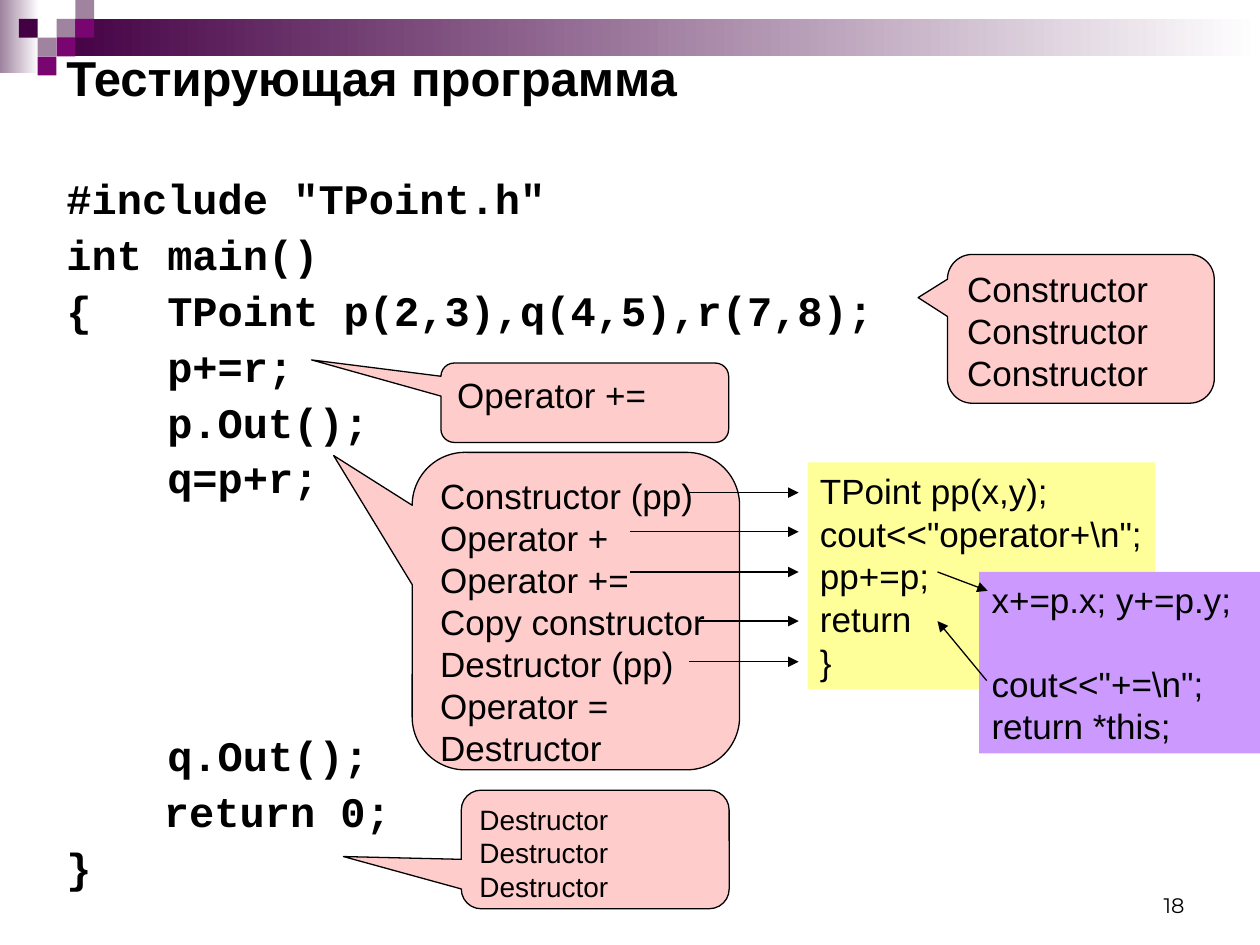
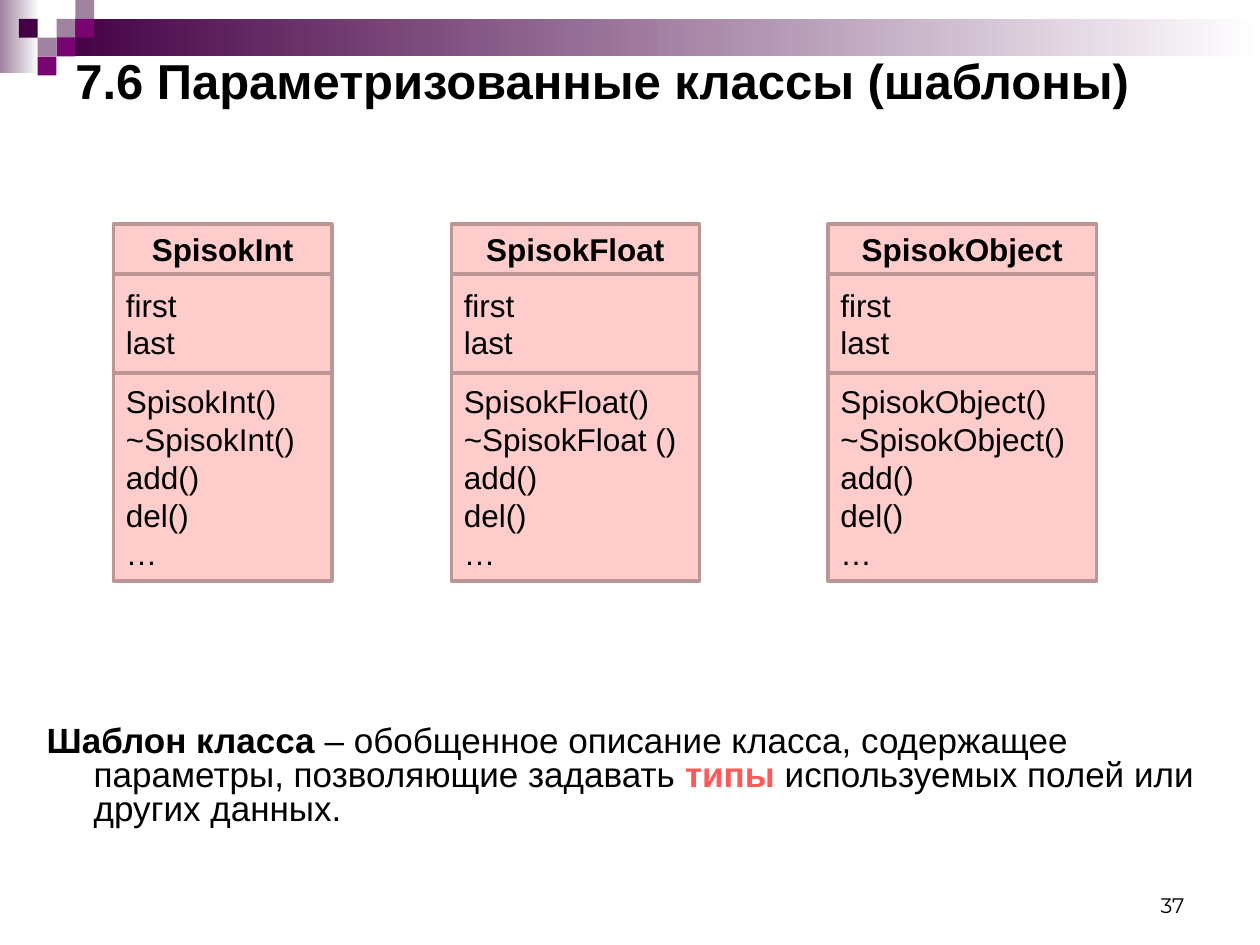
from dataclasses import dataclass

import lxml.etree
import pptx
import pptx.dml.color
import pptx.enum.dml
import pptx.enum.shapes
import pptx.enum.text
import pptx.oxml.ns
import pptx.shapes.autoshape
import pptx.slide
import pptx.text.text
import pptx.util

Cm = pptx.util.Cm
Pt = pptx.util.Pt
RGBColor = pptx.dml.color.RGBColor
Kind = pptx.enum.shapes.MSO_SHAPE
Align = pptx.enum.text.PP_ALIGN
Anchor = pptx.enum.text.MSO_ANCHOR
Slide = pptx.slide.Slide
Frame = pptx.text.text.TextFrame
Shape = pptx.shapes.autoshape.Shape

BLACK = RGBColor(0, 0, 0)
WHITE = RGBColor(255, 255, 255)
DARK = RGBColor(0x44, 0x00, 0x44)
PLUM = RGBColor(0x79, 0x05, 0x71)
MAUVE = RGBColor(0x9F, 0x83, 0x9F)
PINK = RGBColor(0xFF, 0xCC, 0xCC)
ROSE = RGBColor(0xBC, 0x95, 0x95)
YELLOW = RGBColor(0xFF, 0xFF, 0x99)
LILAC = RGBColor(0xCC, 0x99, 0xFF)
RED = RGBColor(0xFF, 0x59, 0x59)

CELL = 0.38
HANG = 0.95


@dataclass(frozen=True)
class Box:
    left: float
    top: float
    width: float
    height: float


@dataclass(frozen=True)
class Face:
    size: float
    name: str = "Arial"
    bold: bool = False
    color: RGBColor = BLACK


@dataclass(frozen=True)
class Tile:
    col: int
    row: int
    color: RGBColor


@dataclass(frozen=True)
class Callout:
    box: Box
    tip: tuple[float, float]
    text: str
    size: float = 20


@dataclass(frozen=True)
class Arrow:
    start: tuple[float, float]
    end: tuple[float, float]


@dataclass(frozen=True)
class Card:
    name: str
    left: float
    width: float
    gap: str = ""


TILES = [
    Tile(3, 1, MAUVE), Tile(4, 0, MAUVE), Tile(4, 1, PLUM), Tile(2, 2, MAUVE),
    Tile(1, 1, DARK), Tile(3, 2, PLUM), Tile(2, 3, PLUM),
]

CODE = """#include "TPoint.h"
int main()
{   TPoint p(2,3),q(4,5),r(7,8);
    p+=r;
    p.Out();
    q=p+r;
    q.Out();
\t  return 0;
}"""

CALLOUTS = [
    Callout(Box(19.1, 5.13, 5.38, 3), (-0.61, -0.21), "Constructor\nConstructor Constructor"),
    Callout(
        Box(8.31, 9.12, 6.6, 6.4), (-0.74, -0.49),
        "Constructor (pp)\nОperator +\nOperator +=\nCopy constructor\n"
        "Destructor (pp)\nOperator =\nDestructor",
    ),
    Callout(Box(8.89, 7.32, 5.8, 1.6), (-0.95, -0.54), "Operator +="),
    Callout(Box(9.3, 15.93, 5.4, 2.39), (-0.94, 0.06), "\n".join(["Destructor"] * 3), 16),
]

REACH = 16.1
STEPS = [(13.89, 9.93), (12.7, 10.72), (12.7, 11.53), (14.1, 12.52), (13.89, 13.34)]
ARROWS = [Arrow((x, y), (REACH, y)) for x, y in STEPS]
INNER = [Arrow((19.89, 13.72), (18.9, 12.52)), Arrow((18.9, 11.53), (19.91, 11.91))]

CARDS = [
    Card("SpisokInt", 2.29, 4.4),
    Card("SpisokFloat", 9.1, 5, " "),
    Card("SpisokObject", 16.69, 5.42),
]


def style(frame: Frame, face: Face, align: Align = Align.LEFT) -> None:
    for par in frame.paragraphs:
        par.alignment = align
        for run in par.runs:
            paint(run, face)


def paint(run: pptx.text.text._Run, face: Face) -> None:
    run.font.size = Pt(face.size)
    run.font.name = face.name
    run.font.bold = face.bold
    run.font.color.rgb = face.color


def hang(par: pptx.text.text._Paragraph, space: float) -> None:
    props = par._p.get_or_add_pPr()
    props.set("marL", str(Cm(HANG)))
    props.set("indent", str(-Cm(HANG)))
    par.line_spacing = space


def add_text(slide: Slide, box: Box, text: str, face: Face,
             align: Align = Align.LEFT, anchor: Anchor = Anchor.TOP) -> Frame:
    shape = slide.shapes.add_textbox(Cm(box.left), Cm(box.top), Cm(box.width), Cm(box.height))
    frame = shape.text_frame
    frame.word_wrap = True
    frame.vertical_anchor = anchor
    frame.text = text
    style(frame, face, align)
    return frame


def add_block(slide: Slide, box: Box, fill: RGBColor, kind: Kind = Kind.RECTANGLE,
              edge: RGBColor | None = None, weight: float = 0.75) -> Shape:
    shape = slide.shapes.add_shape(
        kind, Cm(box.left), Cm(box.top), Cm(box.width), Cm(box.height))
    shape.shadow.inherit = False
    shape.fill.solid()
    shape.fill.fore_color.rgb = fill
    if edge is None:
        shape.line.fill.background()
    else:
        shape.line.color.rgb = edge
        shape.line.width = Pt(weight)
    return shape


def write(shape: Shape, text: str, face: Face, align: Align = Align.LEFT,
          anchor: Anchor = Anchor.TOP) -> Frame:
    frame = shape.text_frame
    frame.word_wrap = True
    frame.vertical_anchor = anchor
    frame.text = text
    style(frame, face, align)
    return frame


def add_fade(slide: Slide, box: Box, color: RGBColor) -> None:
    fill = add_block(slide, box, color).fill
    fill.gradient()
    fill.gradient_angle = 0
    for stop, shade, place in zip(fill.gradient_stops, (color, WHITE), (0, 1)):
        stop.color.rgb = shade
        stop.position = place


def add_callout(slide: Slide, note: Callout) -> None:
    shape = add_block(slide, note.box, PINK, Kind.ROUNDED_RECTANGULAR_CALLOUT, BLACK)
    shape.adjustments[0], shape.adjustments[1] = note.tip
    write(shape, note.text, Face(note.size))


def add_arrow(slide: Slide, arrow: Arrow) -> None:
    ends = [Cm(value) for value in arrow.start + arrow.end]
    link = slide.shapes.add_connector(pptx.enum.shapes.MSO_CONNECTOR.STRAIGHT, *ends)
    link.line.color.rgb = BLACK
    link.line.width = Pt(0.75)
    qn = pptx.oxml.ns.qn
    lxml.etree.SubElement(link.line._get_or_add_ln(), qn("a:tailEnd"), type="triangle")
    lxml.etree.SubElement(link._element.spPr, qn("a:effectLst"))


def add_card(slide: Slide, card: Card) -> None:
    name = card.name
    rows = [
        (1, name, True),
        (2, "first\nlast", False),
        (4.19, f"{name}()\n~{name}{card.gap}()\nadd()\ndel()\n…", False),
    ]
    top = 4.52
    for height, text, head in rows:
        box = Box(card.left, top, card.width, height)
        shape = add_block(slide, box, PINK, edge=ROSE, weight=2)
        align = Align.CENTER if head else Align.LEFT
        write(shape, text, Face(18, bold=head), align, Anchor.MIDDLE)
        top += height


def add_page(deck: pptx.presentation.Presentation, title: str, box: Box, number: int) -> Slide:
    slide = deck.slides.add_slide(deck.slide_layouts[6])
    add_fade(slide, Box(0, 0, 0.79, 1.47), MAUVE)
    add_fade(slide, Box(3 * CELL, CELL, 25.4 - 3 * CELL, 2 * CELL), DARK)
    for tile in TILES:
        add_block(slide, Box(tile.col * CELL, tile.row * CELL, CELL, CELL), tile.color)
    add_text(slide, Box(18.21, 17.35, 5.92, 1.27), str(number),
             Face(12, "Montserrat"), Align.RIGHT, Anchor.BOTTOM)
    add_text(slide, box, title, Face(28, bold=True), anchor=Anchor.MIDDLE)
    return slide


def build_code(deck: pptx.presentation.Presentation) -> None:
    slide = add_page(deck, "Тестирующая программа", Box(1.09, 0.66, 22.86, 1.8), 18)
    frame = add_text(slide, Box(1.09, 3.47, 22.86, 14.67), CODE,
                     Face(24, "Courier New", True))
    for index, par in enumerate(frame.paragraphs):
        hang(par, 0.9)
        if index:
            par.space_before = Pt(133 if "q.Out" in par.text else 6)
    for note in CALLOUTS:
        add_callout(slide, note)

    plus = add_block(slide, Box(16.28, 9.32, 7.01, 4.57), YELLOW)
    frame = write(plus, 'TPoint pp(x,y);\ncout<<"operator+\\n";\npp+=p;\nreturn\n}', Face(20))
    frame.word_wrap = False
    for par in frame.paragraphs:
        par.line_spacing = 1.02
    for arrow in ARROWS:
        add_arrow(slide, arrow)

    body = add_block(slide, Box(19.74, 11.53, 5.66, 3.66), LILAC)
    frame = write(body, 'x+=p.x; y+=p.y;\ncout<<"+=\\n";\nreturn *this;', Face(20))
    frame.paragraphs[1].space_before = Pt(24)
    for arrow in INNER:
        add_arrow(slide, arrow)


def build_class(deck: pptx.presentation.Presentation) -> None:
    slide = add_page(deck, "7.6 Параметризованные классы (шаблоны)",
                     Box(1.27, 0.91, 22.86, 1.4), 37)
    frame = add_text(slide, Box(0.69, 14.53, 24.71, 2.49), "Шаблон класса ",
                     Face(20, bold=True))
    par = frame.paragraphs[0]
    hang(par, 0.8)
    parts = [
        ("– обобщенное описание класса, содержащее параметры, позволяющие задавать ", Face(20)),
        ("типы", Face(20, bold=True, color=RED)),
        (" используемых полей или других данных.", Face(20)),
    ]
    for text, face in parts:
        run = par.add_run()
        run.text = text
        paint(run, face)
    for card in CARDS:
        add_card(slide, card)


def main() -> None:
    deck = pptx.Presentation()
    deck.slide_width, deck.slide_height = Cm(25.4), Cm(19.05)
    build_code(deck)
    build_class(deck)
    deck.save("out.pptx")


if __name__ == "__main__":
    main()
